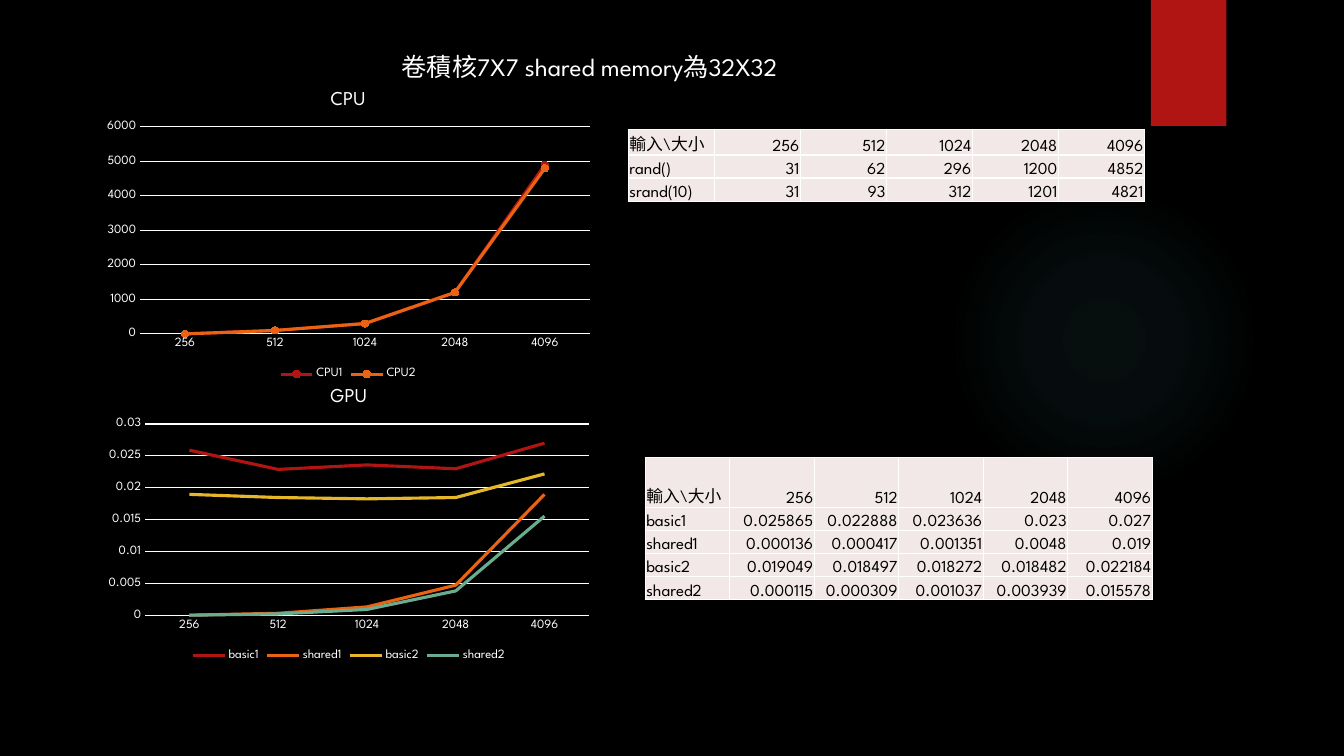
import lxml.etree
import pptx
import pptx.chart.data
import pptx.dml.color
import pptx.enum.chart
import pptx.enum.shapes
import pptx.enum.text
import pptx.oxml
import pptx.oxml.ns
import pptx.util

Pt = pptx.util.Pt
RGBColor = pptx.dml.color.RGBColor
CHART = pptx.enum.chart
SHAPE = pptx.enum.shapes.MSO_SHAPE
TEXT = pptx.enum.text
qn = pptx.oxml.ns.qn

FONT = "League Spartan"
BLACK = RGBColor(0x00, 0x00, 0x00)
WHITE = RGBColor(0xFF, 0xFF, 0xFF)
RED = RGBColor(0xB0, 0x15, 0x13)
ORANGE = RGBColor(0xEA, 0x63, 0x12)
YELLOW = RGBColor(0xE6, 0xB7, 0x29)
GREEN = RGBColor(0x6A, 0xAC, 0x90)
CELL = RGBColor(0xF2, 0xE8, 0xE7)

# Content
HEADING = "卷積核7X7 shared memory為32X32"
CORNER = "輸入\\大小"
SIZES = ["256", "512", "1024", "2048", "4096"]
# Each timing row: table label, chart label, colour, values
BENCHMARKS = [
    {
        "title": "CPU",
        "timings": [
            ("rand()", "CPU1", RED, [31, 62, 296, 1200, 4852]),
            ("srand(10)", "CPU2", ORANGE, [31, 93, 312, 1201, 4821]),
        ],
        "decimals": -2,
        "markers": True,
        "axis": (6000, 1000),
        "chart_box": (69.1, 53.3, 359.3, 221),
        "plot_box": (100, 90.7, 321.4, 147.9),
        "table_box": (448.9, 92.2, 368.6),
        "header_height": 18.5,
    },
    {
        "title": "GPU",
        "timings": [
            ("basic1", "basic1", RED, [0.025865, 0.022888, 0.023636, 0.023, 0.027]),
            ("shared1", "shared1", ORANGE, [0.000136, 0.000417, 0.001351, 0.0048, 0.019]),
            ("basic2", "basic2", YELLOW, [0.019049, 0.018497, 0.018272, 0.018482, 0.022184]),
            ("shared2", "shared2", GREEN, [0.000115, 0.000309, 0.001037, 0.003939, 0.015578]),
        ],
        "decimals": 4,
        "markers": False,
        "axis": (0.03, 0.005),
        "chart_box": (70.6, 265.7, 357.1, 209.5),
        "plot_box": (103.6, 302.9, 317.1, 137.1),
        "table_box": (460.9, 326.9, 362.2),
        "header_height": 35.5,
    },
]
ROW_HEIGHT = 16.5
GLOW_STOPS = [(0, 7), (36, 6), (69, 0)]  # position and opacity in percent


def style_font(font, size, color):
    font.name = FONT
    font.size = Pt(size)
    font.bold = False
    font.color.rgb = color


def add_decoration(slide, preset, left, top, width, height):
    shape = slide.shapes.add_shape(preset, Pt(left), Pt(top), Pt(width), Pt(height))
    shape.shadow.inherit = False
    shape.line.fill.background()
    shape.fill.solid()
    shape.fill.fore_color.rgb = RED
    return shape


def make_glow(shape):
    stops = "".join(
        f'<a:gs pos="{position * 1000}"><a:srgbClr val="50B9C1">'
        f'<a:alpha val="{opacity * 1000}"/></a:srgbClr></a:gs>'
        for position, opacity in GLOW_STOPS
    )
    gradient = pptx.oxml.parse_xml(
        f'<a:gradFill {pptx.oxml.ns.nsdecls("a")}><a:gsLst>{stops}</a:gsLst>'
        '<a:path path="circle"><a:fillToRect l="50000" t="50000" r="50000" b="50000"/>'
        "</a:path></a:gradFill>"
    )
    properties = shape.fill._xPr
    properties.replace(properties.find(qn("a:solidFill")), gradient)


def set_plot_layout(chart, chart_box, plot_box):
    left, top, width, height = chart_box
    x, y, w, h = plot_box
    fractions = ((x - left) / width, (y - top) / height, w / width, h / height)
    plot_area = chart._chartSpace.chart.plotArea
    for old in plot_area.findall(qn("c:layout")):
        plot_area.remove(old)
    layout = lxml.etree.Element(qn("c:layout"))
    manual = lxml.etree.SubElement(layout, qn("c:manualLayout"))
    settings = [("layoutTarget", "inner"), ("xMode", "edge"), ("yMode", "edge")]
    settings += zip("xywh", map(str, fractions))
    for tag, value in settings:
        lxml.etree.SubElement(manual, qn(f"c:{tag}")).set("val", value)
    plot_area.insert(0, layout)


def add_timing_chart(slide, benchmark):
    data = pptx.chart.data.CategoryChartData()
    data.categories = SIZES
    for _, name, _, values in benchmark["timings"]:
        data.add_series(name, [round(value, benchmark["decimals"]) for value in values])
    kind = CHART.XL_CHART_TYPE.LINE_MARKERS if benchmark["markers"] else CHART.XL_CHART_TYPE.LINE
    chart = slide.shapes.add_chart(kind, *map(Pt, benchmark["chart_box"]), data).chart
    style_font(chart.font, 10, WHITE)
    chart.has_title = True
    chart.chart_title.text_frame.text = benchmark["title"]
    style_font(chart.chart_title.text_frame.paragraphs[0].runs[0].font, 14, WHITE)
    chart.chart_title.include_in_layout = False
    chart.has_legend = True
    chart.legend.position = CHART.XL_LEGEND_POSITION.BOTTOM
    chart.legend.include_in_layout = False
    style_font(chart.legend.font, 9, WHITE)

    # Axes
    sizes, times = chart.category_axis, chart.value_axis
    for axis in (sizes, times):
        axis.major_tick_mark = axis.minor_tick_mark = CHART.XL_TICK_MARK.NONE
        style_font(axis.tick_labels.font, 9, WHITE)
    times.minimum_scale = 0
    times.maximum_scale, times.major_unit = benchmark["axis"]
    times.format.line.fill.background()
    for rule in (sizes.format.line, times.major_gridlines.format.line):
        rule.color.rgb = WHITE
        rule.width = Pt(0.75)

    # Series
    chart.plots[0].vary_by_categories = False
    for series, (_, _, color, _) in zip(chart.plots[0].series, benchmark["timings"]):
        series.smooth = False
        series.format.line.color.rgb = color
        series.format.line.width = Pt(2.25)
        if benchmark["markers"]:
            series.marker.style = CHART.XL_MARKER_STYLE.CIRCLE
            series.marker.size = 5
            series.marker.format.fill.solid()
            series.marker.format.fill.fore_color.rgb = color
            series.marker.format.line.color.rgb = color
    set_plot_layout(chart, benchmark["chart_box"], benchmark["plot_box"])


def style_cell(cell, text, align):
    cell.text = text
    cell.vertical_anchor = TEXT.MSO_ANCHOR.BOTTOM
    cell.margin_left = cell.margin_right = cell.margin_top = Pt(0.75)
    cell.margin_bottom = 0
    cell.fill.solid()
    cell.fill.fore_color.rgb = CELL
    paragraph = cell.text_frame.paragraphs[0]
    paragraph.alignment = align
    style_font(paragraph.runs[0].font, 12, BLACK)
    for index, side in enumerate("LRTB"):
        border = pptx.oxml.parse_xml(
            f'<a:ln{side} {pptx.oxml.ns.nsdecls("a")} w="{Pt(1)}"><a:solidFill>'
            f'<a:srgbClr val="{WHITE}"/></a:solidFill></a:ln{side}>'
        )
        cell._tc.get_or_add_tcPr().insert(index, border)


def add_timing_table(slide, benchmark):
    rows = [[CORNER, *SIZES]]
    rows += [[label, *map(str, values)] for label, _, _, values in benchmark["timings"]]
    heights = [benchmark["header_height"]] + [ROW_HEIGHT] * len(benchmark["timings"])
    left, top, width = benchmark["table_box"]
    table = slide.shapes.add_table(
        len(rows), len(rows[0]), Pt(left), Pt(top), Pt(width), Pt(sum(heights))
    ).table
    table.first_row = table.horz_banding = False
    for column in table.columns:
        column.width = Pt(width / len(rows[0]))
    for r, row in enumerate(rows):
        table.rows[r].height = Pt(heights[r])
        for c, text in enumerate(row):
            align = TEXT.PP_ALIGN.RIGHT if c else TEXT.PP_ALIGN.LEFT
            style_cell(table.cell(r, c), text, align)


def main():
    deck = pptx.Presentation()
    deck.slide_width, deck.slide_height = Pt(960), Pt(540)
    slide = deck.slides.add_slide(deck.slide_layouts[5])
    slide.background.fill.solid()
    slide.background.fill.fore_color.rgb = BLACK

    # Backdrop
    make_glow(add_decoration(slide, SHAPE.OVAL, 677.5, 131.8, 221.8, 221.8))
    add_decoration(slide, SHAPE.RECTANGLE, 822, 0, 54, 90)

    # Heading
    heading = slide.shapes.title
    heading.left, heading.top, heading.width, heading.height = map(Pt, (279.7, 33.1, 313.2, 28.8))
    frame = heading.text_frame
    frame.text = HEADING
    frame.word_wrap = False
    frame.auto_size = TEXT.MSO_AUTO_SIZE.SHAPE_TO_FIT_TEXT
    frame.vertical_anchor = TEXT.MSO_ANCHOR.TOP
    frame.paragraphs[0].alignment = TEXT.PP_ALIGN.LEFT
    style_font(frame.paragraphs[0].runs[0].font, 18, WHITE)

    # Charts and tables
    for benchmark in BENCHMARKS:
        add_timing_chart(slide, benchmark)
        add_timing_table(slide, benchmark)
    deck.save("out.pptx")


if __name__ == "__main__":
    main()
